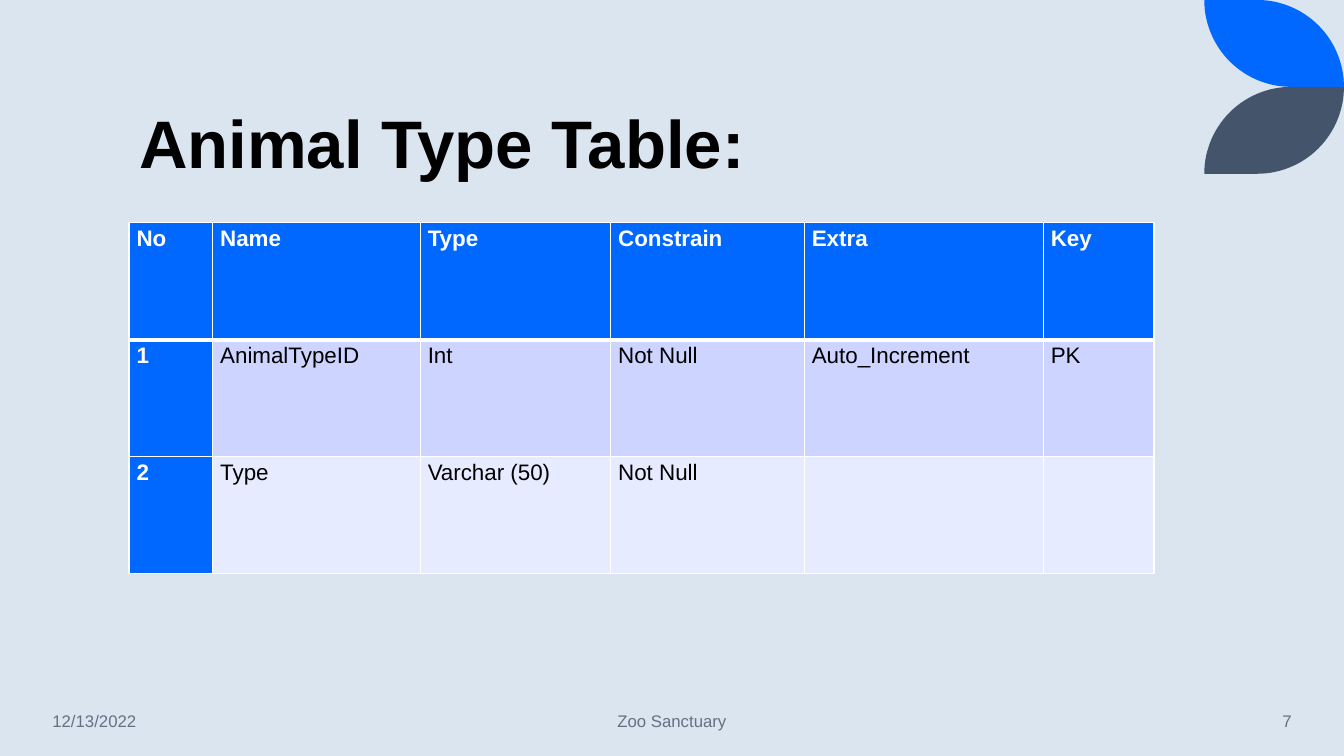
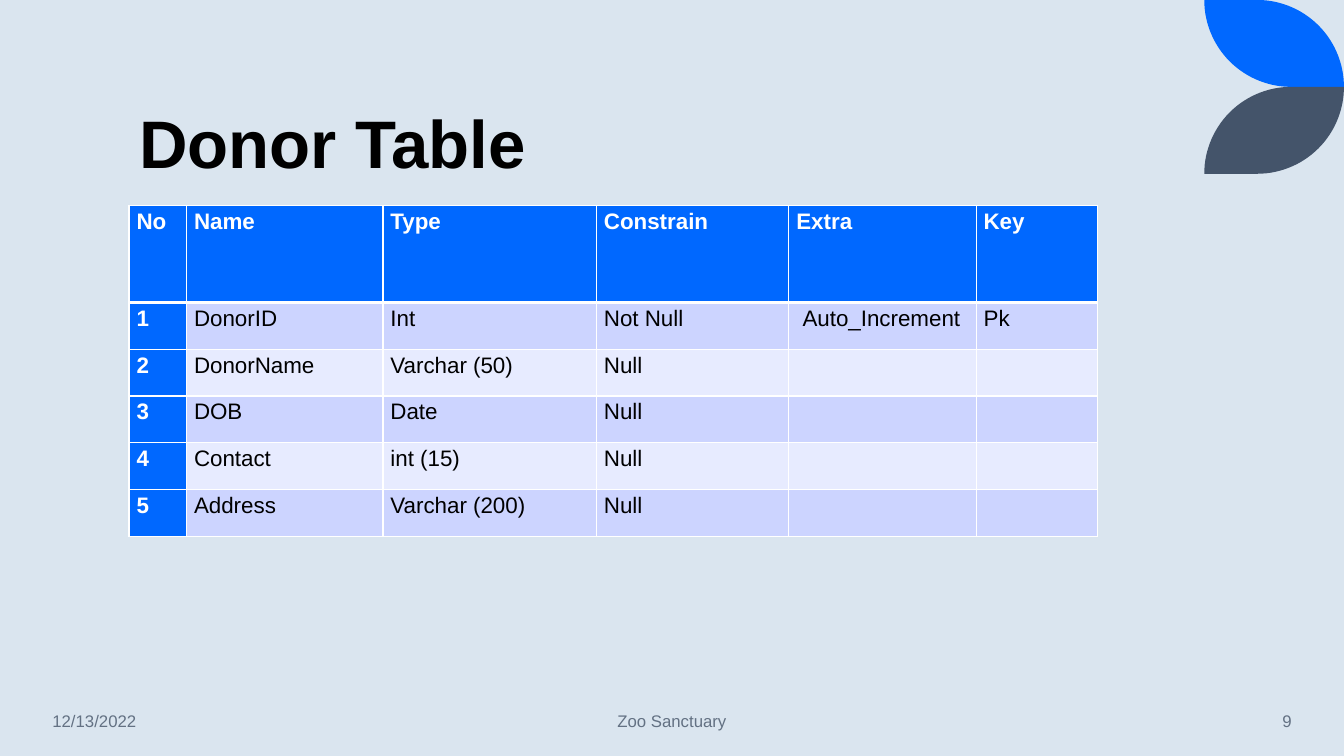
from math import cos, radians, sin

from pptx import Presentation
from pptx.dml.color import RGBColor
from pptx.enum.text import MSO_ANCHOR, PP_ALIGN
from pptx.oxml import parse_xml
from pptx.oxml.ns import nsdecls
from pptx.util import Cm, Pt

# Shared look
COLORS = {
    "background": "DAE5EF",
    "accent": "0068FF",
    "slate": "44546A",
    "odd_row": "CCD4FF",
    "even_row": "E7EBFF",
    "footer": "637183",
    "black": "000000",
    "white": "FFFFFF",
}
FONT = "Arial"
SLIDE_WIDTH, SLIDE_HEIGHT = 33.87, 19.05
LEFT_MARGIN = 3.25
LEAF_WIDTH, LEAF_HEIGHT = 3.52, 2.19
HEADERS = ["No", "Name", "Type", "Constrain", "Extra", "Key"]
DATE, FOOTER = "12/13/2022", "Zoo Sanctuary"

# Slide content: lengths in centimetres
TABLE_SLIDES = [
    {
        "title": "Animal Type Table:",
        "number": "7",
        "top": 5.61,
        "columns": [2.11, 5.23, 4.8, 4.88, 6.02, 2.79],
        "header_height": 2.95,
        "row_height": 2.95,
        "fields": [
            ["AnimalTypeID", "Int", "Not Null", "Auto_Increment", "PK"],
            ["Type", "Varchar (50)", "Not Null", "", ""],
        ],
    },
    {
        "title": "Donor Table",
        "number": "9",
        "top": 5.18,
        "columns": [1.45, 4.95, 5.38, 4.85, 4.72, 3.05],
        "header_height": 2.44,
        "row_height": 1.18,
        "fields": [
            ["DonorID", "Int", "Not Null", "\u00a0Auto_Increment", "Pk"],
            ["DonorName", "Varchar (50)", "Null", "", ""],
            ["DOB", "Date", "Null", "", ""],
            ["Contact", "int (15)", "Null", "", ""],
            ["Address", "Varchar (200)", "Null", "", ""],
        ],
    },
]


def color(name):
    return RGBColor.from_string(COLORS[name])


def format_text(para, size, color_name, bold=False, align=PP_ALIGN.LEFT):
    para.alignment = align
    for span in para.runs:
        span.font.name = FONT
        span.font.size = Pt(size)
        span.font.bold = bold
        span.font.color.rgb = color(color_name)


# Corner leaves
def arc(center_x, center_y, start):
    """Points of a clockwise quarter circle, from a start angle in degrees."""
    angles = [radians(start + step) for step in range(0, 91, 3)]
    return [(center_x + LEAF_HEIGHT * cos(angle), center_y + LEAF_HEIGHT * sin(angle))
            for angle in angles]


def add_leaf(page, color_name, mirrored=False):
    left = SLIDE_WIDTH - LEAF_WIDTH
    points = [(left, 0)]
    points += arc(SLIDE_WIDTH - LEAF_HEIGHT, LEAF_HEIGHT, -90)
    points += arc(left + LEAF_HEIGHT, 0, 90)
    if mirrored:
        points = [(x, 2 * LEAF_HEIGHT - y) for x, y in points]
    outline = [(Cm(x), Cm(y)) for x, y in points]
    builder = page.shapes.build_freeform(*outline[0])
    builder.add_line_segments(outline[1:], close=True)
    leaf = builder.convert_to_shape()
    leaf.shadow.inherit = False
    leaf.fill.solid()
    leaf.fill.fore_color.rgb = color(color_name)
    leaf.line.fill.background()


# Title and footer
def set_title(page, text):
    title = page.shapes.title
    title.left, title.top = Cm(LEFT_MARGIN), Cm(1.07)
    title.width, title.height = Cm(27.15), Cm(3.68)
    frame = title.text_frame
    frame.text = text
    frame.vertical_anchor = MSO_ANCHOR.BOTTOM
    para = frame.paragraphs[0]
    para.line_spacing = 0.9
    format_text(para, 48, "black", bold=True)


def add_footer_text(page, text, left, width, align):
    box = page.shapes.add_textbox(Cm(left), Cm(17.65), Cm(width), Cm(1.02))
    frame = box.text_frame
    frame.word_wrap = True
    frame.vertical_anchor = MSO_ANCHOR.MIDDLE
    frame.text = text
    format_text(frame.paragraphs[0], 12, "footer", align=align)


def add_footer(page, number):
    add_footer_text(page, DATE, 1.07, 4.72, PP_ALIGN.LEFT)
    add_footer_text(page, FOOTER, 11.22, 11.43, PP_ALIGN.CENTER)
    add_footer_text(page, number, 28.2, 4.6, PP_ALIGN.RIGHT)


# Table
def set_borders(cell, row):
    widths = {"lnL": 1, "lnR": 1, "lnT": 3 if row == 1 else 1, "lnB": 3 if row == 0 else 1}
    properties = cell._tc.get_or_add_tcPr()
    for position, (side, width) in enumerate(widths.items()):
        properties.insert(position, parse_xml(
            f'<a:{side} {nsdecls("a")} w="{Pt(width)}"><a:solidFill>'
            f'<a:srgbClr val="{COLORS["white"]}"/></a:solidFill></a:{side}>'))


def fill_cell(cell, text, row, column):
    heading = row == 0 or column == 0
    band = "odd_row" if row % 2 else "even_row"
    cell.fill.solid()
    cell.fill.fore_color.rgb = color("accent" if heading else band)
    set_borders(cell, row)
    cell.margin_left = cell.margin_right = Cm(0.19)
    cell.margin_top = cell.margin_bottom = 0
    cell.text_frame.text = text
    para = cell.text_frame.paragraphs[0]
    para.line_spacing = 1.15
    para.space_after = Pt(8)
    format_text(para, 16, "white" if heading else "black", heading, PP_ALIGN.JUSTIFY)


def add_field_table(page, content):
    fields = content["fields"]
    rows = [HEADERS] + [[str(number)] + field for number, field in enumerate(fields, 1)]
    heights = [content["header_height"]] + [content["row_height"]] * len(fields)
    widths = content["columns"]
    table = page.shapes.add_table(
        len(rows), len(widths), Cm(LEFT_MARGIN), Cm(content["top"]),
        Cm(sum(widths)), Cm(sum(heights))).table
    for column, width in zip(table.columns, widths):
        column.width = Cm(width)
    for table_row, height in zip(table.rows, heights):
        table_row.height = Cm(height)
    for row, texts in enumerate(rows):
        for column, text in enumerate(texts):
            fill_cell(table.cell(row, column), text, row, column)


def add_table_slide(deck, content):
    page = deck.slides.add_slide(deck.slide_layouts.get_by_name("Title Only"))
    add_leaf(page, "accent")
    add_leaf(page, "slate", mirrored=True)
    set_title(page, content["title"])
    add_field_table(page, content)
    add_footer(page, content["number"])


def main():
    deck = Presentation()
    deck.slide_width, deck.slide_height = Cm(SLIDE_WIDTH), Cm(SLIDE_HEIGHT)
    background = deck.slide_master.background.fill
    background.solid()
    background.fore_color.rgb = color("background")
    for content in TABLE_SLIDES:
        add_table_slide(deck, content)
    deck.save("out.pptx")


main()
